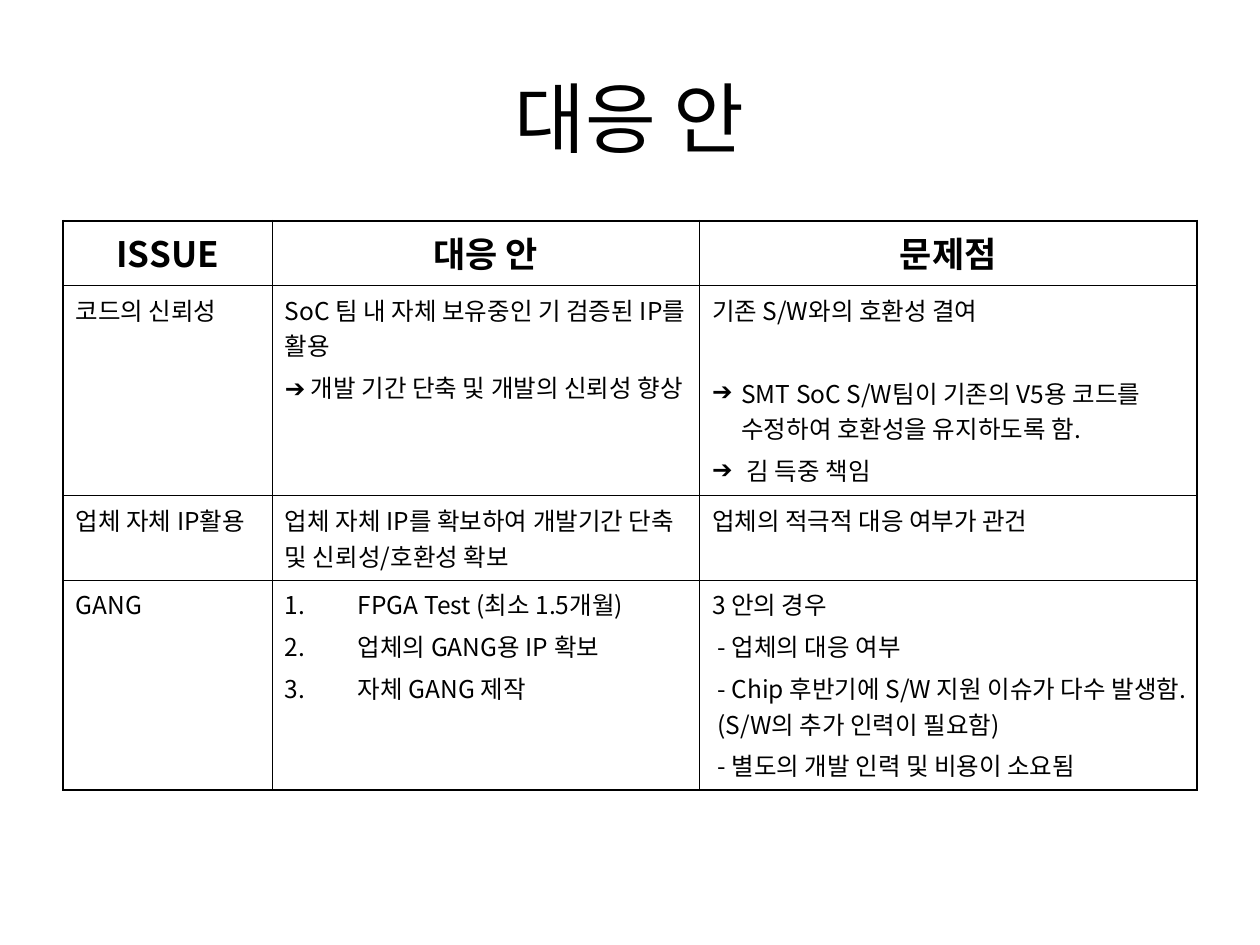
import pptx
import pptx.dml.color
import pptx.enum.text
import pptx.oxml.ns
import pptx.util
from lxml import etree

Cm = pptx.util.Cm
Pt = pptx.util.Pt
ALIGN = pptx.enum.text.PP_ALIGN
BLACK = pptx.dml.color.RGBColor(0, 0, 0)
WHITE = pptx.dml.color.RGBColor(255, 255, 255)
ARROW = "➔"
NUMBER = "arabicPeriod"

HEADERS = ["ISSUE", "대응 안", "문제점"]
ROWS = [
    [
        ["코드의 신뢰성"],
        ["SoC 팀 내 자체 보유중인 기 검증된 IP를 활용", "➔ 개발 기간 단축 및 개발의 신뢰성 향상"],
        [
            "기존 S/W와의 호환성 결여",
            ("SMT SoC S/W팀이 기존의 V5용 코드를 수정하여 호환성을 유지하도록 함.", ARROW, 27),
            (" 김 득중 책임", ARROW),
        ],
    ],
    [
        ["업체 자체 IP활용"],
        ["업체 자체 IP를 확보하여 개발기간 단축 및 신뢰성/호환성 확보"],
        ["업체의 적극적 대응 여부가 관건"],
    ],
    [
        ["GANG"],
        [
            ("FPGA Test (최소 1.5개월)", NUMBER),
            ("업체의 GANG용 IP 확보", NUMBER),
            ("자체 GANG 제작", NUMBER),
        ],
        [
            "3 안의 경우",
            " - 업체의 대응 여부",
            " - Chip 후반기에 S/W 지원 이슈가 다수 발생함. (S/W의 추가 인력이 필요함)",
            " - 별도의 개발 인력 및 비용이 소요됨",
        ],
    ],
]


def sub(parent, tag, **attrs):
    """Append a DrawingML child element."""
    return etree.SubElement(parent, pptx.oxml.ns.qn(tag), attrs)


class Deck:
    """Hold the style and the current slide."""

    font = "Noto Sans CJK KR"
    symbol_font = "Arial"
    thin, thick = Pt(0.45), Pt(1.08)

    def __init__(self, prs):
        self.s = prs.slides.add_slide(prs.slide_layouts[6])

    def style(self, p, size, bold=False, align=ALIGN.LEFT):
        p.alignment = align
        p.font.name, p.font.size, p.font.bold = self.font, Pt(size), bold
        p.font.color.rgb = BLACK
        sub(p.font._element, "a:ea", typeface=self.font)

    def title(self, text, left, top, width, height):
        tf = self.s.shapes.add_textbox(left, top, width, height).text_frame
        tf.word_wrap = True
        tf.vertical_anchor = pptx.enum.text.MSO_ANCHOR.MIDDLE
        tf.text = text
        self.style(tf.paragraphs[0], 44, align=ALIGN.CENTER)

    def bullet(self, p, kind):
        indent = Cm(1.47 if kind == NUMBER else 0.59)
        pPr = p._p.get_or_add_pPr()
        pPr.set("marL", str(indent))
        pPr.set("indent", str(-indent))
        if kind == NUMBER:
            sub(pPr, "a:buFont", typeface="+mj-lt")
            sub(pPr, "a:buAutoNum", type=kind)
        else:
            sub(pPr, "a:buFont", typeface=self.symbol_font)
            sub(pPr, "a:buChar", char=kind)

    def paragraph(self, p, text, kind=None, before=3.5, first=False):
        if not first:
            p.space_before = Pt(before)
        if kind:
            self.bullet(p, kind)
        if text.startswith(ARROW):
            r = p.add_run()
            r.text, r.font.name = ARROW, self.symbol_font
            text = text[len(ARROW):]
        p.add_run().text = text
        self.style(p, 14)

    def borders(self, cell, **outer):
        for side in "LRTB":
            width = self.thick if outer[side] else self.thin
            ln = sub(cell._tc.get_or_add_tcPr(), f"a:ln{side}", w=str(width))
            sub(sub(ln, "a:solidFill"), "a:srgbClr", val=str(BLACK))
        cell.fill.solid()
        cell.fill.fore_color.rgb = WHITE

    def table(self, headers, rows, left, top, widths, heights):
        n, m = len(heights), len(widths)
        table = self.s.shapes.add_table(n, m, left, top, sum(widths), sum(heights)).table
        table.first_row = table.horz_banding = False
        for column, width in zip(table.columns, widths):
            column.width = width
        for row, height in zip(table.rows, heights):
            row.height = height
        for i in range(n):
            for j in range(m):
                cell = table.cell(i, j)
                self.borders(cell, L=j == 0, R=j == m - 1, T=i == 0, B=i == n - 1)
                tf = cell.text_frame
                if i == 0:
                    tf.text = headers[j]
                    self.style(tf.paragraphs[0], 20, True, ALIGN.CENTER)
                    continue
                for k, item in enumerate(rows[i - 1][j]):
                    p = tf.add_paragraph() if k else tf.paragraphs[0]
                    args = (item,) if isinstance(item, str) else item
                    self.paragraph(p, *args, first=k == 0)


def main():
    prs = pptx.Presentation()
    prs.slide_width, prs.slide_height = Cm(25.4), Cm(19.05)
    deck = Deck(prs)
    deck.title("대응 안", Cm(1.27), Cm(0.76), Cm(22.86), Cm(3.18))
    widths = [Cm(w) for w in (4.22, 8.61, 10.03)]
    heights = [Cm(h) for h in (1.3, 4.24, 1.7, 4.24)]
    deck.table(HEADERS, ROWS, Cm(1.27), Cm(4.45), widths, heights)
    prs.save("out.pptx")


if __name__ == "__main__":
    main()
